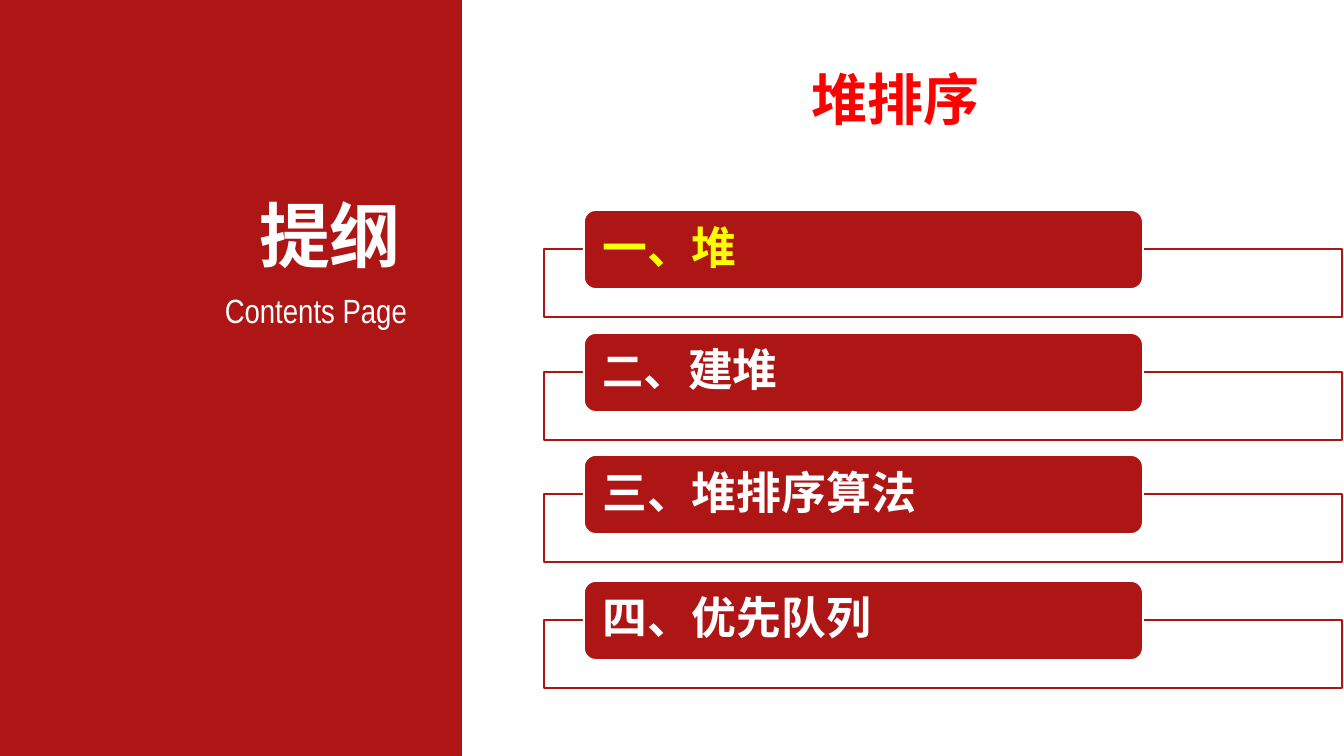
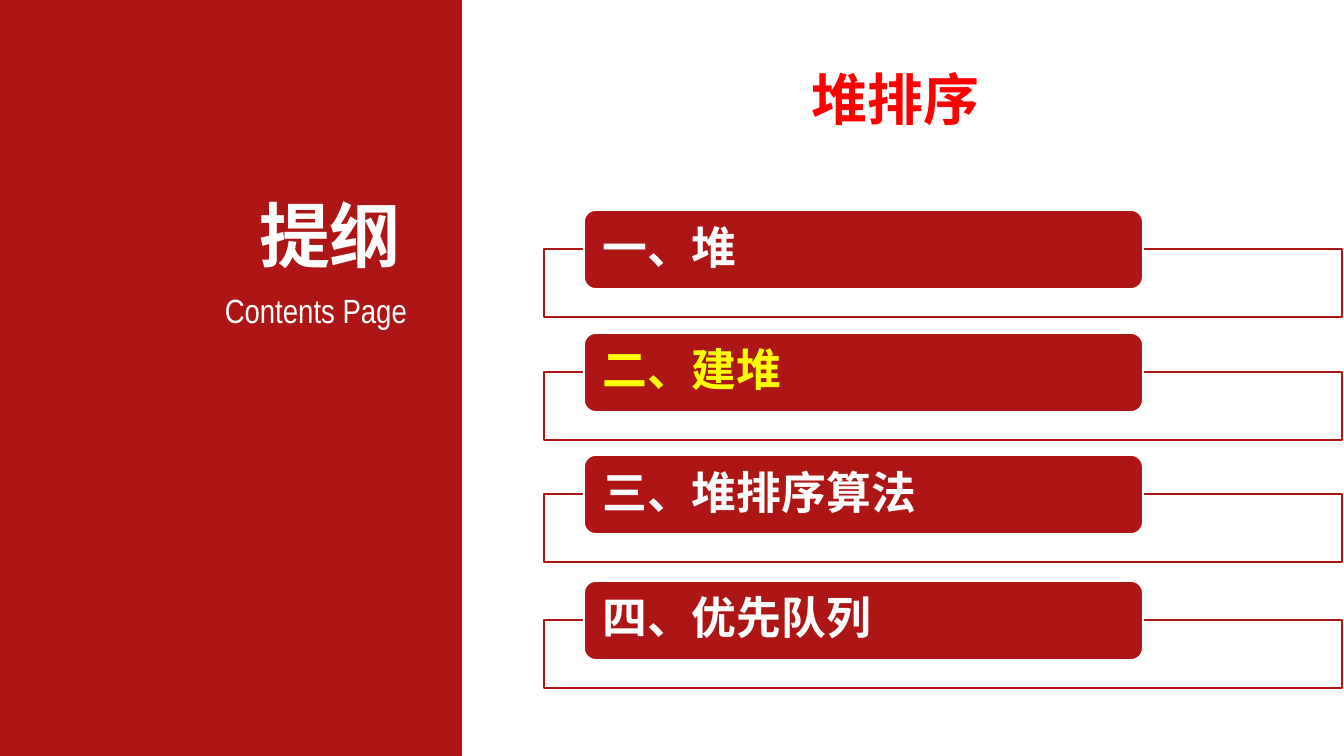
from lxml.etree import SubElement
from pptx import Presentation
from pptx.dml.color import RGBColor
from pptx.enum.shapes import MSO_SHAPE as Shape
from pptx.enum.text import MSO_ANCHOR as Anchor, MSO_AUTO_SIZE as AutoSize, PP_ALIGN as Align
from pptx.oxml.ns import qn
from pptx.util import Pt

PX = 914400 / 134.4
RED, WHITE, YELLOW, TITLE_RED = "AE1616", "FFFFFF", "FFFF00", "FF0000"
LATIN, NARROW, ROBOTO, CJK = "Arial", "Arial Narrow", "Roboto", "Noto Sans CJK SC"

ROW_TOPS = [210, 333, 455, 581]
LAST_ROW = [("四、", 24, CJK), ("优先队列", 24, ROBOTO)]
# Each agenda: the highlighted row, then the runs (text, size, font) of every row
AGENDAS = [
    (0, [
        [("一、堆", 24, ROBOTO)],
        [("二", 22, CJK), ("、建堆", 24, CJK)],
        [("三、堆排序算法", 24, CJK)],
        LAST_ROW,
    ]),
    (1, [
        [("一、堆", 24, ROBOTO)],
        [("二、建堆", 24, ROBOTO)],
        [("三、堆排序算法", 24, ROBOTO)],
        LAST_ROW,
    ]),
]
# Text boxes: position, text, size, font, format
LABELS = [
    ((46, 285, 370, 51), "Contents Page", 18, NARROW,
     dict(color=WHITE, align=Align.RIGHT, insets=(9, 5), grow=True)),
    ((148, 187, 262, 97), "提纲", 38, LATIN,
     dict(color=WHITE, bold=True, align=Align.RIGHT, insets=(9, 5), grow=True)),
    ((462, 0, 867, 163), "堆排序", 30, LATIN,
     dict(color=TITLE_RED, bold=True, align=Align.CENTER, anchor=Anchor.MIDDLE,
          line_spacing=1.5)),
]


def add_box(slide, kind, position, fill, line=None, opacity=100):
    shape = slide.shapes.add_shape(kind, *[round(length * PX) for length in position])
    shape.shadow.inherit = False
    shape.fill.solid()
    shape.fill.fore_color.rgb = RGBColor.from_string(fill)
    if opacity < 100:
        color = shape.fill._xPr.find(".//" + qn("a:srgbClr"))
        SubElement(color, qn("a:alpha"), val=str(opacity * 1000))
    if line:
        shape.line.color.rgb = RGBColor.from_string(line)
        shape.line.width = Pt(1)
    else:
        shape.line.fill.background()
    return shape


def write_text(shape, runs, color, bold=False, align=Align.LEFT, anchor=Anchor.TOP,
               insets=(13, 7), line_spacing=None, space_after=None, grow=False):
    """Write (text, size, font) runs as one paragraph; insets are (side, top) in px."""
    frame = shape.text_frame
    frame.word_wrap = True
    frame.auto_size = AutoSize.SHAPE_TO_FIT_TEXT if grow else AutoSize.NONE
    frame.vertical_anchor = anchor
    frame.margin_left = frame.margin_right = round(insets[0] * PX)
    frame.margin_top = frame.margin_bottom = round(insets[1] * PX)
    paragraph = frame.paragraphs[0]
    paragraph.alignment = align
    paragraph.line_spacing = line_spacing
    paragraph.space_after = space_after
    for text, size, font_name in runs:
        run = paragraph.add_run()
        run.text = text
        run.font.size = Pt(size)
        run.font.bold = bold
        run.font.color.rgb = RGBColor.from_string(color)
        run.font.name = font_name
        SubElement(run.font._element, qn("a:ea"), typeface=font_name)


presentation = Presentation()
presentation.slide_width = round(1344 * PX)
presentation.slide_height = round(756 * PX)

for current_row, rows in AGENDAS:
    slide = presentation.slides.add_slide(presentation.slide_layouts[6])
    add_box(slide, Shape.RECTANGLE, (0, 0, 462, 756), RED)

    for position, text, size, font_name, style in LABELS:
        label = slide.shapes.add_textbox(*[round(length * PX) for length in position])
        write_text(label, [(text, size, font_name)], **style)

    for index, (top, runs) in enumerate(zip(ROW_TOPS, rows)):
        add_box(slide, Shape.RECTANGLE, (544, top + 39, 798, 68), WHITE, RED, opacity=90)
        bar = add_box(slide, Shape.ROUNDED_RECTANGLE, (584, top, 559, 79), RED, WHITE)
        bar.adjustments[0] = 0.15
        write_text(bar, runs, color=YELLOW if index == current_row else WHITE, bold=True,
                   anchor=Anchor.MIDDLE, insets=(15, 0), line_spacing=0.9, space_after=Pt(8))

presentation.save("out.pptx")
